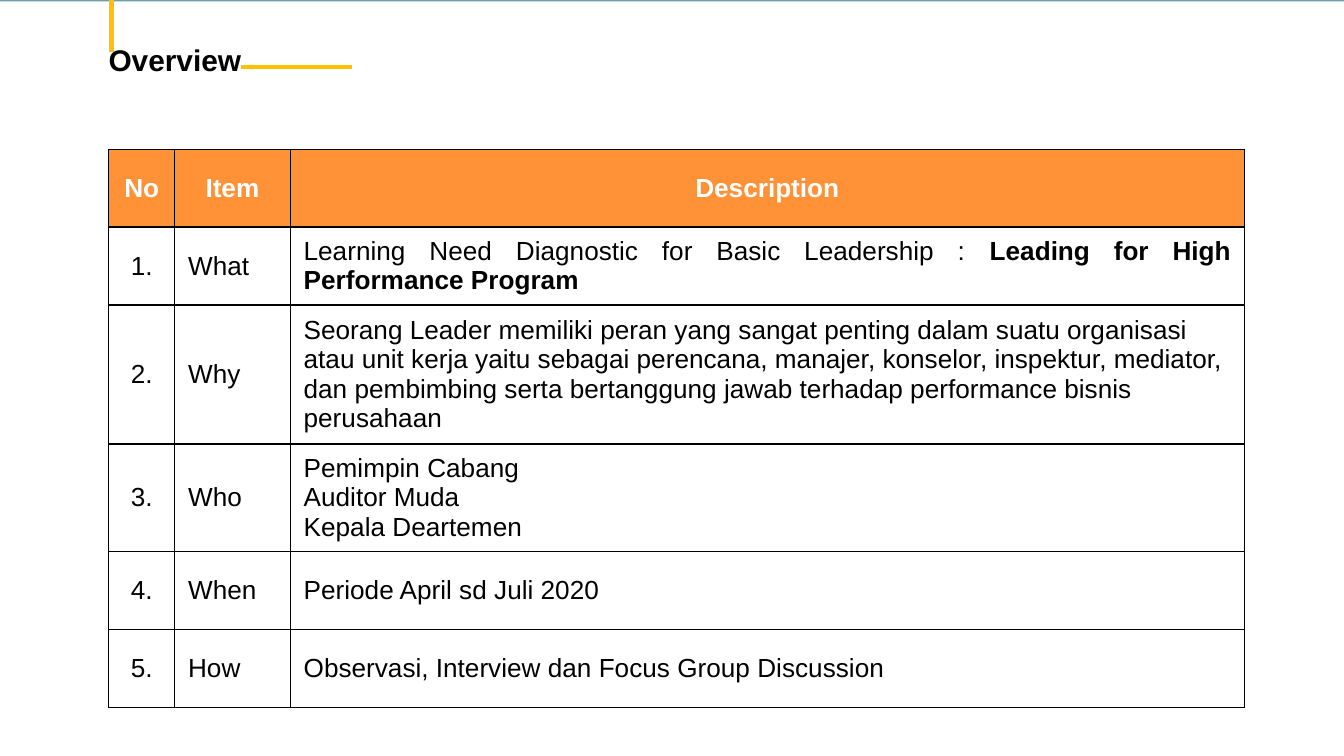
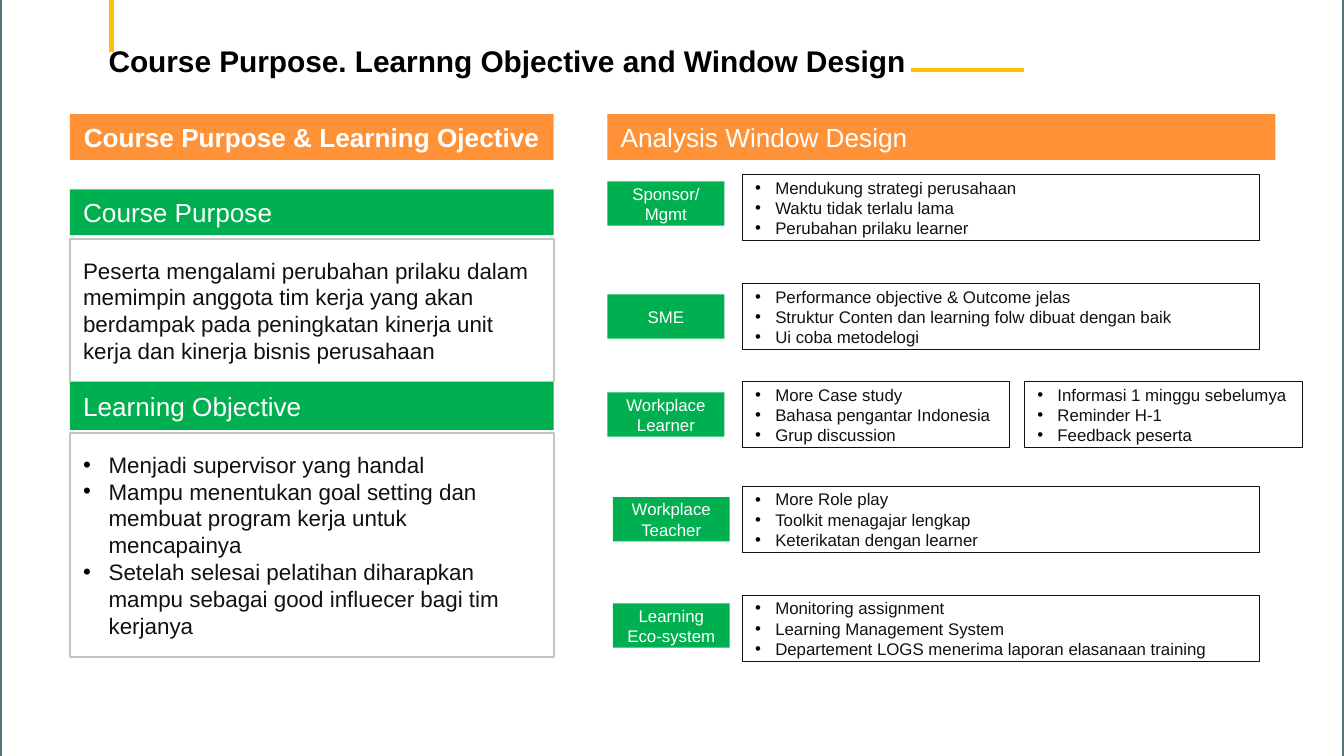
"""Builds a two-slide overview of a leadership learning programme."""
import pptx
import pptx.dml.color
import pptx.enum.shapes
import pptx.enum.text
import pptx.oxml.ns
import pptx.util
from lxml import etree

Inches, Pt = pptx.util.Inches, pptx.util.Pt
ALIGN = pptx.enum.text.PP_ALIGN
MIDDLE = pptx.enum.text.MSO_ANCHOR.MIDDLE
FONT = "Arial"
TEAL, EDGE, GOLD, ORANGE, GREEN = "6B9FA4", "4F7679", "FFC000", "FF9237", "00B050"
WHITE, BLACK, INK, GREY = "FFFFFF", "000000", "111111", "C4C4C4"

OVERVIEW_HEADER = ["No", "Item", "Description"]
OVERVIEW_COLUMNS = [0.49, 0.86, 7.1]
OVERVIEW_ROW_HEIGHT = 0.58
OVERVIEW_ITEMS = [
    ("What", [[("Learning Need Diagnostic for Basic Leadership : ", False),
               ("Leading for High Performance Program", True)]]),
    ("Why", ["Seorang Leader memiliki peran yang sangat penting dalam suatu organisasi "
             "atau unit kerja yaitu sebagai perencana, manajer, konselor, inspektur, "
             "mediator, dan pembimbing serta bertanggung jawab terhadap performance "
             "bisnis perusahaan"]),
    ("Who", ["Pemimpin Cabang", "Auditor Muda", "Kepala Deartemen"]),
    ("When", ["Periode April sd Juli 2020"]),
    ("How", ["Observasi, Interview dan Focus Group Discussion"]),
]

PURPOSE = ["Peserta mengalami perubahan prilaku dalam memimpin anggota tim kerja yang "
           "akan berdampak pada peningkatan kinerja unit kerja dan kinerja bisnis perusahaan"]
OBJECTIVES = [
    "Menjadi supervisor yang handal",
    "Mampu menentukan goal setting dan membuat program kerja untuk mencapainya",
    "Setelah selesai pelatihan diharapkan mampu sebagai good influecer bagi tim kerjanya",
]
BANNERS = [
    ("Course Purpose & Learning Ojective", (0.52, 0.85, 3.6, 0.34), ORANGE, True),
    ("Course Purpose", (0.52, 1.41, 3.6, 0.34), GREEN, False),
    ("Learning Objective", (0.52, 2.84, 3.6, 0.36), GREEN, False),
    ("Analysis Window Design", (4.52, 0.85, 4.97, 0.34), ORANGE, False),
]
PANELS = [(PURPOSE, (0.52, 1.78, 3.6, 1.06), 0), (OBJECTIVES, (0.52, 3.22, 3.6, 1.67), 0.19)]

WIDE = [(5.52, 3.85)]
SPLIT = [(5.52, 1.99), (7.62, 2.07)]
STAKEHOLDERS = [
    (["Sponsor/", "Mgmt"], 4.52, 1.35, 1.3, WIDE,
     [["Mendukung strategi perusahaan", "Waktu tidak terlalu lama",
       "Perubahan prilaku learner"]]),
    (["SME"], 4.52, 2.19, 2.11, WIDE,
     [["Performance objective & Outcome jelas",
       "Struktur Conten dan learning folw dibuat dengan baik", "Ui coba metodelogi"]]),
    (["Workplace", "Learner"], 4.52, 2.92, 2.84, SPLIT,
     [["More Case study", "Bahasa pengantar Indonesia", "Grup discussion"],
      ["Informasi 1 minggu sebelumya", "Reminder H-1", "Feedback peserta"]]),
    (["Workplace", "Teacher"], 4.56, 3.7, 3.62, WIDE,
     [["More Role play", "Toolkit menagajar lengkap", "Keterikatan dengan learner"]]),
    (["Learning Eco-system"], 4.56, 4.49, 4.43, WIDE,
     [["Monitoring assignment", "Learning Management System",
       "Departement LOGS menerima laporan elasanaan training"]]),
]


def rgb(value):
    return pptx.dml.color.RGBColor.from_string(value)


def sub(parent, tag, **attributes):
    return etree.SubElement(parent, pptx.oxml.ns.qn(tag), attributes)


def add_bullet(paragraph, indent):
    properties = paragraph._p.get_or_add_pPr()
    properties.set("marL", str(Inches(indent)))
    properties.set("indent", str(-Inches(indent)))
    sub(sub(properties, "a:buClr"), "a:srgbClr", val=BLACK)
    sub(properties, "a:buFont", typeface=FONT)
    sub(properties, "a:buChar", char="•")


def write(frame, lines, size, color, bold=False, align=ALIGN.LEFT, indent=0):
    frame.word_wrap = True
    for index, line in enumerate(lines):
        paragraph = frame.paragraphs[0] if index == 0 else frame.add_paragraph()
        paragraph.alignment = align
        if indent:
            add_bullet(paragraph, indent)
        for text, heavy in [(line, bold)] if isinstance(line, str) else line:
            run = paragraph.add_run()
            run.text = text
            run.font.name, run.font.size, run.font.bold = FONT, Pt(size), heavy
            run.font.color.rgb = rgb(color)


def add_box(slide, place, fill=None, line=None, weight=1):
    box = slide.shapes.add_shape(pptx.enum.shapes.MSO_SHAPE.RECTANGLE, *map(Inches, place))
    box.shadow.inherit = False
    if fill:
        box.fill.solid()
        box.fill.fore_color.rgb = rgb(fill)
    else:
        box.fill.background()
    if line:
        box.line.color.rgb = rgb(line)
        box.line.width = Pt(weight)
    else:
        box.line.fill.background()
    box.text_frame.vertical_anchor = MIDDLE
    return box


def add_rule(slide, *ends):
    rule = slide.shapes.add_connector(pptx.enum.shapes.MSO_CONNECTOR.STRAIGHT,
                                      *map(Inches, ends))
    rule.line.color.rgb = rgb(GOLD)
    rule.line.width = Pt(2.25)
    sub(rule._element.spPr, "a:effectLst")


def start_slide(deck, title, title_top, title_width, rule, backdrop, edge=None):
    slide = deck.slides.add_slide(deck.slide_layouts[6])
    slide.background.fill.solid()
    slide.background.fill.fore_color.rgb = rgb(TEAL)
    add_box(slide, backdrop, WHITE, edge, 2)
    add_rule(slide, 0.83, 0, 0.83, 0.39)
    heading = slide.shapes.add_textbox(*map(Inches, (0.71, title_top, title_width, 0.37)))
    heading.text_frame.auto_size = pptx.enum.text.MSO_AUTO_SIZE.SHAPE_TO_FIT_TEXT
    write(heading.text_frame, [title], 16, BLACK, bold=True)
    left, right, height = rule
    add_rule(slide, left, height, right, height)
    return slide


def fill_cell(cell, lines, color=BLACK, bold=False, align=ALIGN.LEFT, fill=None):
    properties = cell._tc.get_or_add_tcPr()
    for side in ("a:lnL", "a:lnR", "a:lnT", "a:lnB"):
        border = sub(properties, side, w=str(Pt(0.75)))
        sub(sub(border, "a:solidFill"), "a:srgbClr", val=BLACK)
    if fill:
        cell.fill.solid()
        cell.fill.fore_color.rgb = rgb(fill)
    else:
        cell.fill.background()
    cell.vertical_anchor = MIDDLE
    write(cell.text_frame, lines, 14, color, bold, align)


def build_overview(deck):
    slide = start_slide(deck, "Overview", 0.26, 2.99, (1.79, 2.62, 0.5), (0, 0.01, 10, 5.62))
    frame = slide.shapes.add_table(len(OVERVIEW_ITEMS) + 1, len(OVERVIEW_HEADER),
                                   *map(Inches, (0.81, 1.11, 8.45, 4.16)))
    overview = frame.table
    overview.first_row = overview.horz_banding = False
    for column, width in zip(overview.columns, OVERVIEW_COLUMNS):
        column.width = Inches(width)
    for row in overview.rows:
        row.height = Inches(OVERVIEW_ROW_HEIGHT)
    frame.height = Inches(4.16)
    for column, label in enumerate(OVERVIEW_HEADER):
        fill_cell(overview.cell(0, column), [label], WHITE, True, ALIGN.CENTER, ORANGE)
    for number, (item, description) in enumerate(OVERVIEW_ITEMS, 1):
        fill_cell(overview.cell(number, 0), [f"{number}."], align=ALIGN.CENTER)
        fill_cell(overview.cell(number, 1), [item])
        fill_cell(overview.cell(number, 2), description,
                  align=ALIGN.JUSTIFY if item == "What" else ALIGN.LEFT)


def build_design(deck):
    slide = start_slide(deck, "Course Purpose. Learnng Objective and Window Design",
                        0.27, 6.26, (6.78, 7.62, 0.52), (0, -0.03, 10, 6.05), EDGE)
    for label, place, fill, bold in BANNERS:
        banner = add_box(slide, place, fill)
        write(banner.text_frame, [label], 14, WHITE, bold,
              ALIGN.CENTER if bold else ALIGN.LEFT)
    for lines, place, indent in PANELS:
        panel = add_box(slide, place, line=GREY)
        write(panel.text_frame, lines, 12, INK, indent=indent)
    for role, left, role_top, needs_top, spans, needs in STAKEHOLDERS:
        tag = add_box(slide, (left, role_top, 0.87, 0.33), GREEN)
        write(tag.text_frame, role, 9, WHITE, align=ALIGN.CENTER)
        for (needs_left, width), lines in zip(spans, needs):
            card = add_box(slide, (needs_left, needs_top, width, 0.49), WHITE, INK, 0.25)
            write(card.text_frame, lines, 9, INK, indent=0.15)


def main():
    deck = pptx.Presentation()
    deck.slide_width = Inches(10)
    deck.slide_height = deck.slide_width * 9 // 16
    build_overview(deck)
    build_design(deck)
    deck.save("out.pptx")


if __name__ == "__main__":
    main()
